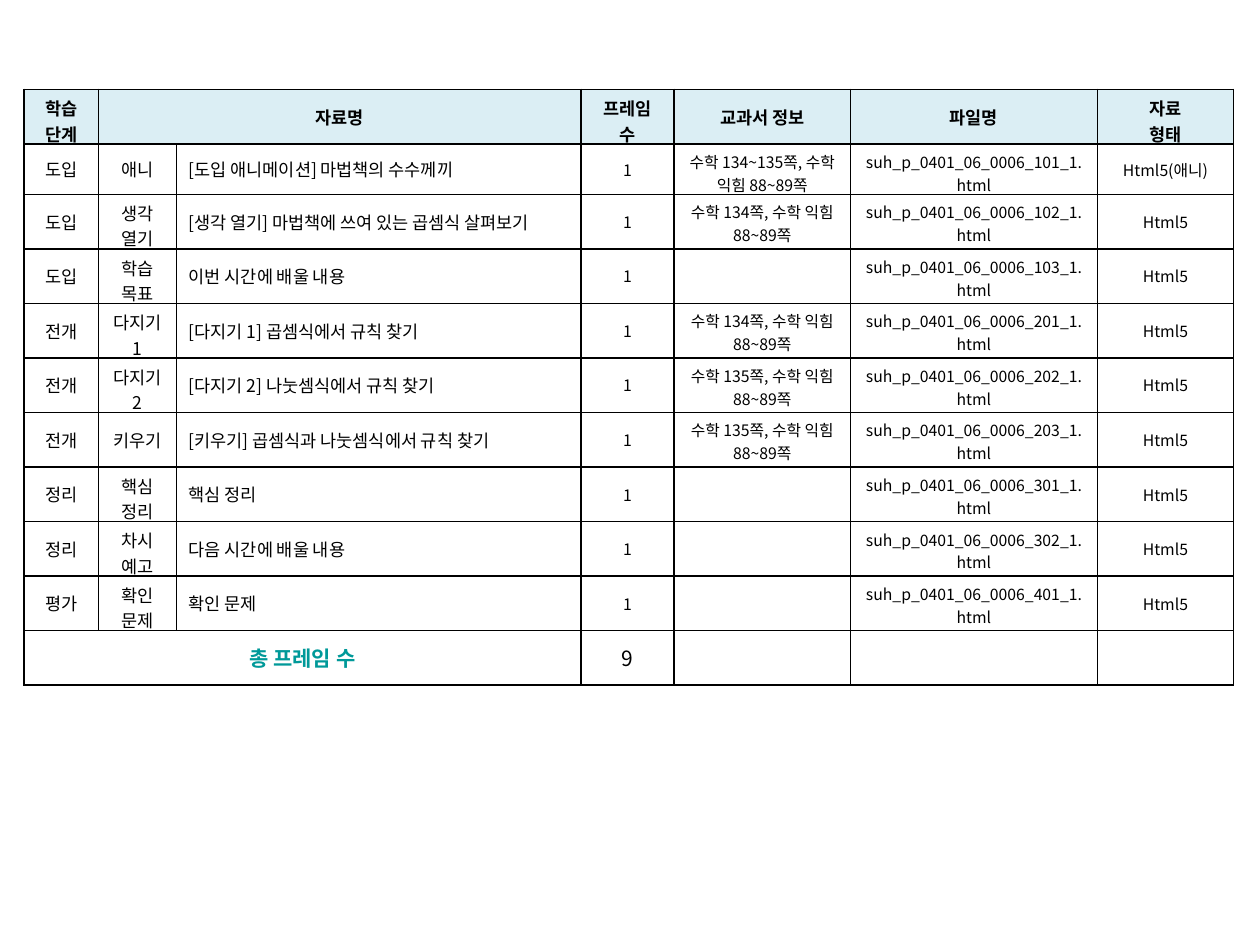
from lxml import etree
from pptx import Presentation
from pptx.dml.color import RGBColor
from pptx.enum import text
from pptx.oxml import ns
from pptx.util import Inches, Pt

FONT = "Noto Sans CJK KR"
COLORS = {"ink": "000000", "header": "DBEEF4", "plain": "FFFFFF", "total": "009999"}
COLUMN_WIDTHS = [0.59, 0.62, 3.21, 0.74, 1.4, 1.96, 1.08]
FIRST_LESSON_HEIGHT = 0.4
HEADERS = ["학습 단계", "자료명", "", "프레임 수", "교과서 정보", "파일명", "자료\n형태"]
WORKBOOK = "수학 익힘 88~89쪽"

# Stage, activity, title, textbook pages, file number
LESSONS = [
    ("도입", "애니", "[도입 애니메이션] 마법책의 수수께끼", "134~135", 101),
    ("도입", "생각 열기", "[생각 열기] 마법책에 쓰여 있는 곱셈식 살펴보기", "134", 102),
    ("도입", "학습 목표", "이번 시간에 배울 내용", "", 103),
    ("전개", "다지기 1", "[다지기 1] 곱셈식에서 규칙 찾기", "134", 201),
    ("전개", "다지기 2", "[다지기 2] 나눗셈식에서 규칙 찾기", "135", 202),
    ("전개", "키우기", "[키우기] 곱셈식과 나눗셈식에서 규칙 찾기", "135", 203),
    ("정리", "핵심 정리", "핵심 정리", "", 301),
    ("정리", "차시 예고", "다음 시간에 배울 내용", "", 302),
    ("평가", "확인 문제", "확인 문제", "", 401),
]


def set_borders(cell):
    properties = cell._tc.get_or_add_tcPr()
    for position, side in enumerate(("lnL", "lnR", "lnT", "lnB")):
        line = etree.Element(ns.qn(f"a:{side}"), w=str(Pt(1)))
        fill = etree.SubElement(line, ns.qn("a:solidFill"))
        etree.SubElement(fill, ns.qn("a:srgbClr"), val=COLORS["ink"])
        properties.insert(position, line)


def style_cell(cell, fill="plain"):
    cell.fill.solid()
    cell.fill.fore_color.rgb = RGBColor.from_string(COLORS[fill])
    cell.vertical_anchor = text.MSO_ANCHOR.MIDDLE
    set_borders(cell)


def hold_two_lines(cell):
    """Start at the top inset and let the second line reach the lower border."""
    cell.vertical_anchor = text.MSO_ANCHOR.TOP
    cell.margin_bottom = Inches(-0.02)


def write_cell(cell, words, size, bold=False, color="ink", align=text.PP_ALIGN.CENTER):
    if not words:
        return
    cell.text = words
    for para in cell.text_frame.paragraphs:
        para.alignment = align
        for span in para.runs:
            for name, value in {"size": Pt(size), "bold": bold, "name": FONT}.items():
                setattr(span.font, name, value)
            span.font.color.rgb = RGBColor.from_string(COLORS[color])
            span.font._element.set("kern", "0")
            # Korean glyphs take the East Asian typeface
            latin = span.font._element.find(ns.qn("a:latin"))
            latin.addnext(etree.Element(ns.qn("a:ea"), typeface=FONT))


def lesson_words(stage, activity, title, pages, number):
    textbook = f"수학 {pages}쪽, {WORKBOOK}" if pages else ""
    form = "Html5(애니)" if activity == "애니" else "Html5"
    return [stage, activity, title, "1", textbook,
            f"suh_p_0401_06_0006_{number}_1.html", form]


def add_lesson_table(page, left, top, width, height):
    row_count = len(LESSONS) + 2
    table = page.shapes.add_table(
        row_count, len(COLUMN_WIDTHS),
        Inches(left), Inches(top), Inches(width), Inches(height)).table
    table.first_row = table.horz_banding = False
    for column, column_width in zip(table.columns, COLUMN_WIDTHS):
        column.width = Inches(column_width)
    for row in table.rows:
        row.height = Inches((height - FIRST_LESSON_HEIGHT) / (row_count - 1))
    table.rows[1].height = Inches(FIRST_LESSON_HEIGHT)

    for index, row in enumerate(table.rows):
        for cell in row.cells:
            style_cell(cell, "plain" if index else "header")

    # Header
    for column, words in enumerate(HEADERS):
        write_cell(table.cell(0, column), words, 10, bold=True)
        if column in (0, 3, 6):
            hold_two_lines(table.cell(0, column))
    table.cell(0, 1).merge(table.cell(0, 2))

    # Lessons
    for row, lesson in enumerate(LESSONS, start=1):
        for column, words in enumerate(lesson_words(*lesson)):
            cell = table.cell(row, column)
            align = text.PP_ALIGN.LEFT if column == 2 else text.PP_ALIGN.CENTER
            write_cell(cell, words, 10 if column < 3 else 9, align=align)
            if column in (4, 5) or (column == 1 and " " in words):
                hold_two_lines(cell)

    # Total
    last = row_count - 1
    table.cell(last, 0).merge(table.cell(last, 2))
    write_cell(table.cell(last, 0), "총 프레임 수", 12, bold=True, color="total")
    write_cell(table.cell(last, 3), str(len(LESSONS)), 12)


def main():
    deck = Presentation()
    deck.slide_width, deck.slide_height = Inches(10), Inches(7.5)
    page = deck.slides.add_slide(deck.slide_layouts[6])
    add_lesson_table(page, 0.19, 0.71, 9.6, 4.73)
    deck.save("out.pptx")


if __name__ == "__main__":
    main()
